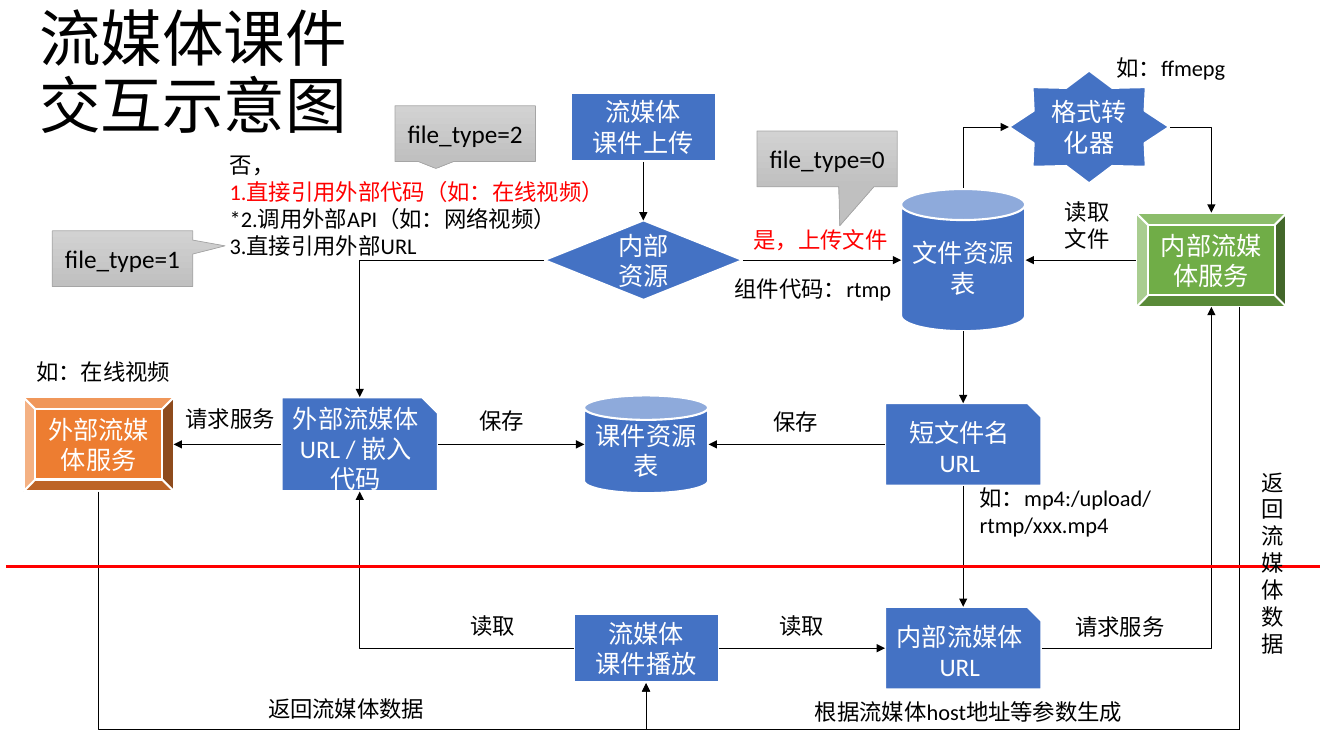
import pptx
import pptx.dml.color
import pptx.enum.shapes
import pptx.enum.text
import pptx.oxml
import pptx.oxml.ns
import pptx.util

Pt = pptx.util.Pt
Shape = pptx.enum.shapes.MSO_SHAPE
Connector = pptx.enum.shapes.MSO_CONNECTOR
Align = pptx.enum.text.PP_ALIGN
Anchor = pptx.enum.text.MSO_ANCHOR

COLORS = {"blue": "4472C4", "green": "70AD47", "orange": "ED7D31", "white": "FFFFFF",
          "black": "000000", "red": "FF0000", "gray": "A5A5A5",
          "gray_top": "D2D2D2", "gray_bottom": "C0C0C0"}
FONT = "Calibri"

# Centre lines of the columns and rows
X_RETURN_LEFT, X_EXTERNAL, X_MAIN, X_FILES = 70.5, 257, 461.5, 688
X_SERVICE, X_RETURN_RIGHT = 865.3, 885.6
Y_TOP, Y_DECISION, Y_STORE, Y_PLAY, Y_RETURN = 90.7, 185.8, 317.4, 463, 521.3
URL_WIDTH = 111.6
BEVEL = (107.3, 67)
STEP = (103.7, 49)


def rgb(name):
    """Return the named colour."""
    return pptx.dml.color.RGBColor.from_string(COLORS[name])


def write(frame, text, size, colors, align=Align.CENTER):
    """Fill a text frame; colors holds one name, or one per paragraph."""
    frame.text = text
    frame.word_wrap = True
    for index, para in enumerate(frame.paragraphs):
        para.alignment = align
        for span in para.runs:
            span.font.name = FONT
            span.font.size = Pt(size)
            span.font.color.rgb = rgb(colors[index % len(colors)])


def add_box(page, kind, center_x, center_y, width, height, text, color="blue"):
    """Add a filled flowchart shape around a centre point."""
    box = page.shapes.add_shape(kind, Pt(center_x - width / 2), Pt(center_y - height / 2),
                                Pt(width), Pt(height))
    box.shadow.inherit = False
    box.fill.solid()
    box.fill.fore_color.rgb = rgb(color)
    box.line.color.rgb = rgb("white")
    box.line.width = Pt(1.5)
    write(box.text_frame, text, 18, ["white"])
    return box


def add_callout(page, left, top, text, tip=None):
    """Add a gray callout; tip is its pointer relative to the centre."""
    callout = page.shapes.add_shape(Shape.RECTANGULAR_CALLOUT, Pt(left), Pt(top),
                                    Pt(100.3), Pt(39.8))
    callout.shadow.inherit = False
    callout.fill.gradient()
    callout.fill.gradient_angle = 270
    for stop, color in zip(callout.fill.gradient_stops, ("gray_top", "gray_bottom")):
        stop.color.rgb = rgb(color)
    callout.line.color.rgb = rgb("gray")
    callout.line.width = Pt(0.5)
    if tip:
        callout.adjustments[0], callout.adjustments[1] = tip
    write(callout.text_frame, text, 18, ["black"])


def add_label(page, left, top, width, text, height=26.6, colors=("black",),
              align=Align.CENTER):
    """Add a caption that grows with its text."""
    label = page.shapes.add_textbox(Pt(left), Pt(top), Pt(width), Pt(height))
    write(label.text_frame, text, 16, colors, align)
    label.text_frame.auto_size = pptx.enum.text.MSO_AUTO_SIZE.SHAPE_TO_FIT_TEXT


def add_line(page, start, end, kind=Connector.STRAIGHT, arrow="tailEnd",
             color="black", width=0.5):
    """Add a connector, with an arrowhead at the named end unless arrow is None."""
    line = page.shapes.add_connector(kind, *[Pt(value) for value in start + end])
    line.line.color.rgb = rgb(color)
    line.line.width = Pt(width)
    if arrow:
        line.line._get_or_add_ln().append(
            pptx.oxml.parse_xml("<a:%s %s type='triangle'/>" % (arrow, pptx.oxml.ns.nsdecls("a"))))
    line._element.spPr.append(
        pptx.oxml.parse_xml("<a:effectLst %s/>" % pptx.oxml.ns.nsdecls("a")))
    return line


def add_corner(page, start, end, arrow="tailEnd"):
    """Add a connector that runs level from start, then upright to end."""
    corner = add_line(page, start, end, Connector.ELBOW, arrow)
    corner._element.spPr.find(pptx.oxml.ns.qn("a:prstGeom")).set("prst", "bentConnector2")


def add_loop(page, start, end, bottom):
    """Add a connector that drops from start to bottom and rises to end."""
    across, down = end[0] - start[0], end[1] - start[1]
    middle_x, middle_y = start[0] + across / 2, start[1] + down / 2
    loop = add_line(page, (middle_x + down / 2, middle_y - across / 2),
                    (middle_x - down / 2, middle_y + across / 2), Connector.ELBOW)
    loop._element.spPr.xfrm.set("rot", str(270 * 60000))
    geometry = loop._element.spPr.find(pptx.oxml.ns.qn("a:prstGeom"))
    for old in list(geometry):
        geometry.remove(old)
    bend = round((bottom - start[1]) / down * 100000)
    geometry.append(pptx.oxml.parse_xml(
        "<a:avLst %s><a:gd name='adj1' fmla='val %d'/></a:avLst>"
        % (pptx.oxml.ns.nsdecls("a"), bend)))


def add_title(page, text):
    """Add the slide heading."""
    title = page.shapes.add_textbox(Pt(20.9), Pt(1.4), Pt(379.4), Pt(104.4))
    write(title.text_frame, text, 44, ["black"], Align.LEFT)
    title.text_frame.vertical_anchor = Anchor.MIDDLE
    title.text_frame.paragraphs[0].line_spacing = 0.9


def add_boxes(page):
    """Add the flowchart shapes."""
    for kind, x, y, width, height, text in (
            (Shape.RECTANGLE, 459.4, Y_TOP, *STEP, "流媒体\n课件上传"),
            (Shape.SNIP_1_RECTANGLE, X_EXTERNAL, Y_STORE, URL_WIDTH, 67, "外部流媒体\nURL / 嵌入代码"),
            (Shape.SNIP_1_RECTANGLE, X_FILES, Y_STORE, URL_WIDTH, 59, "短文件名URL"),
            (Shape.DIAMOND, 459.7, Y_DECISION, 141.8, 56.9, "内部\n资源"),
            (Shape.CAN, X_FILES, Y_DECISION, 88.6, 101.5, "文件资源表"),
            (Shape.CAN, X_MAIN, Y_STORE, 88.6, 69.8, "课件资源表"),
            (Shape.RECTANGLE, X_MAIN, Y_PLAY, *STEP, "流媒体\n课件播放"),
            (Shape.SNIP_1_RECTANGLE, X_FILES, Y_PLAY, URL_WIDTH, 59, "内部流媒体\nURL"),
            (Shape.STAR_8_POINT, 778, Y_TOP, 114.5, 80.6, "格式转化器")):
        add_box(page, kind, x, y, width, height, text)
    add_box(page, Shape.BEVEL, X_SERVICE, Y_DECISION, *BEVEL, "内部流媒体服务", "green")
    add_box(page, Shape.BEVEL, X_RETURN_LEFT, Y_STORE, *BEVEL, "外部流媒体服务", "orange")


def add_links(page):
    """Add the arrows and the dividing line."""
    for start, end in (
            ((459.5, 115.7), (459.5, 157.5)),
            ((530.6, Y_DECISION), (643.7, Y_DECISION)),
            ((X_FILES, 236.5), (X_FILES, 288)),
            ((312.9, Y_STORE), (417.4, Y_STORE)),
            ((632.2, Y_STORE), (506.2, Y_STORE)),
            ((811.4, Y_DECISION), (732.6, Y_DECISION)),
            ((513.4, Y_PLAY), (632.2, Y_PLAY)),
            ((200.9, Y_STORE), (124, Y_STORE)),
            ((X_FILES, 347), (X_FILES, 433.5))):
        add_line(page, start, end)
    for start, end in (
            ((388.8, Y_DECISION), (X_EXTERNAL, 283.7)),
            ((409.7, Y_PLAY), (X_EXTERNAL, 351.2)),
            ((744.3, Y_PLAY), (X_SERVICE, 219.2)),
            ((X_RETURN_RIGHT, Y_RETURN), (X_MAIN, 488)),
            ((835.9, Y_TOP), (X_SERVICE, 151.9))):
        add_corner(page, start, end)
    add_corner(page, (720.7, Y_TOP), (X_FILES, 134.6), "headEnd")
    add_loop(page, (X_RETURN_LEFT, 351.2), (X_MAIN, 488), Y_RETURN)
    add_line(page, (X_RETURN_RIGHT, 219.2), (X_RETURN_RIGHT, Y_RETURN), arrow=None)
    add_line(page, (4.3, 404.6), (943.2, 404.6), arrow=None, color="red", width=2.25)


def add_labels(page):
    """Add the captions and callouts."""
    add_label(page, 157, 104.4, 295.2,
              "否，\n1.直接引用外部代码（如：在线视频）\n*2.调用外部API（如：网络视频）\n3.直接引用外部URL",
              85, ("black", "red", "black", "black"), Align.LEFT)
    add_label(page, 524.2, 157.7, 123.8, "是，上传文件", colors=("red",))
    add_label(page, 751.7, 138.2, 49.7, "读取文件", 46)
    add_label(page, 692.6, 342, 169.2, "如：mp4:/upload/rtmp/xxx.mp4", 65.5, align=Align.LEFT)
    add_label(page, 888.5, 331.2, 41.8, "返回流媒体数据", 143.3)
    for left, top, width, text in (
            (333.4, 287.3, 49.7, "保存"), (543.6, 288, 49.7, "保存"),
            (547.9, 433.4, 49.7, "读取"), (326.9, 433.4, 49.7, "读取"),
            (123.8, 285.8, 81.4, "请求服务"), (757.4, 434.2, 85, "请求服务"),
            (570.2, 495.4, 243.4, "根据流媒体host地址等参数生成"),
            (15.8, 252, 115.9, "如：在线视频"), (173.5, 493.2, 147.6, "返回流媒体数据"),
            (514.1, 193, 133.2, "组件代码：rtmp"), (784.1, 35.3, 104.4, "如：ffmepg")):
        add_label(page, left, top, width, text)
    add_callout(page, 282.2, 75.6, "file_type=2")
    add_callout(page, 540.7, 93.6, "file_type=0", (0.09, 1.2))
    add_callout(page, 37.4, 164.9, "file_type=1", (0.73, -0.23))


def main():
    """Build the slide and save it."""
    deck = pptx.Presentation()
    deck.slide_width, deck.slide_height = Pt(960), Pt(540)
    page = deck.slides.add_slide(deck.slide_layouts[6])
    add_title(page, "流媒体课件\v交互示意图")
    add_boxes(page)
    add_links(page)
    add_labels(page)
    deck.save("out.pptx")


main()
